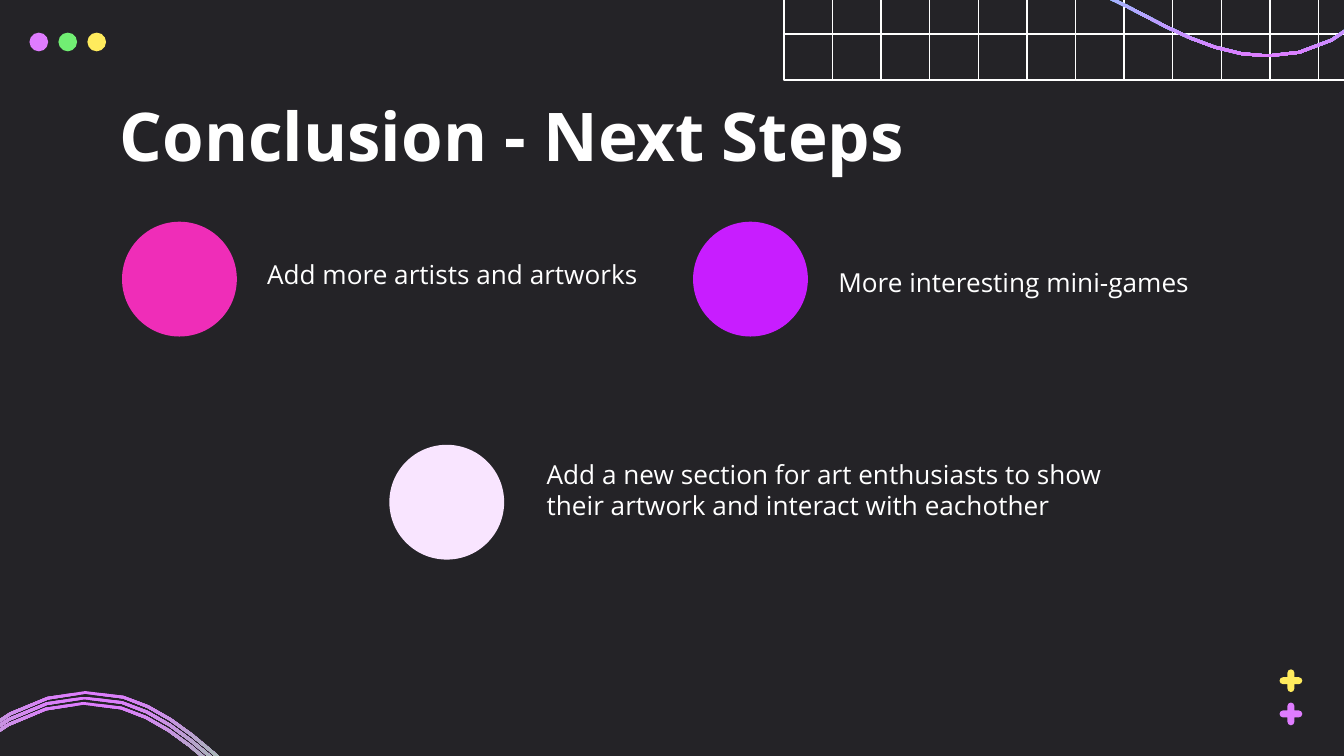
from dataclasses import dataclass
from math import cos, hypot, pi, sin

from pptx import Presentation
from pptx import util as u
from pptx.dml.color import RGBColor
from pptx.enum import shapes, text
from pptx.oxml.ns import qn

Pt = u.Pt


@dataclass(frozen=True)
class Theme:
    background: str = "242327"
    white: str = "FFFFFF"
    violet: str = "DF7CFF"
    green: str = "71EE73"
    yellow: str = "FFEB5D"
    cyan: str = "66EFFF"
    pink: str = "EF2DB8"
    purple: str = "C81DFF"
    pale: str = "F9E5FF"
    font: str = "Open Sans"
    title_size: int = 36
    body_size: int = 14


THEME = Theme()
WIDTH, HEIGHT = 720, 405

TOP_WAVE = [
    (570, -6.5), (583, -8), (597, 0), (612.5, 8),
    (632, 18.5), (655, 30), (679, 30),
    (707, 30), (737, 15), (766, -35),
]
BOTTOM_WAVE = [
    (-35, 414), (-1, 380), (32, 364.5), (66, 373.5),
    (89, 380), (107, 397), (124, 412),
    (136, 423), (147, 434), (157, 437),
]


def rgb(color):
    return RGBColor.from_string(color)


def fill_plain(sp, color):
    sp.shadow.inherit = False
    sp.fill.solid()
    sp.fill.fore_color.rgb = rgb(color)
    sp.line.fill.background()


def stroke(sp):
    sp.line.color.rgb = rgb(THEME.white)
    sp.line.width = Pt(0.75)


def add_circle(s, left, top, size, color):
    sp = s.shapes.add_shape(shapes.MSO_SHAPE.OVAL, Pt(left), Pt(top), Pt(size), Pt(size))
    fill_plain(sp, color)


def add_line(s, x1, y1, x2, y2):
    c = s.shapes.add_connector(shapes.MSO_CONNECTOR.STRAIGHT, Pt(x1), Pt(y1), Pt(x2), Pt(y2))
    stroke(c)
    sp_pr = c._element.spPr
    sp_pr.append(sp_pr.makeelement(qn("a:effectLst"), {}))


def add_grid(s, left, top=-56.2, width=156.2, height=99, middle=18.2, columns=6):
    sp = s.shapes.add_shape(
        shapes.MSO_SHAPE.RECTANGLE, Pt(left), Pt(top), Pt(width), Pt(height)
    )
    sp.shadow.inherit = False
    sp.fill.background()
    stroke(sp)
    for i in range(1, columns):
        x = left + i * width / columns
        add_line(s, x, top, x, top + height)
    add_line(s, left + width, middle, left, middle)


def add_outline(s, points):
    points = [(Pt(x), Pt(y)) for x, y in points]
    builder = s.shapes.build_freeform(*points[0])
    builder.add_line_segments(points[1:], close=True)
    return builder.convert_to_shape()


def sample_curve(controls, steps=5):
    points = [controls[0]]
    for i in range(0, len(controls) - 1, 3):
        a, b, c, d = controls[i:i + 4]
        for n in range(1, steps + 1):
            t = n / steps
            k = 1 - t
            points.append(tuple(
                k**3 * a[j] + 3 * k * k * t * b[j] + 3 * k * t * t * c[j] + t**3 * d[j]
                for j in (0, 1)
            ))
    return points


def add_wave(s, controls, colors, dx=0, dy=0, thickness=1.5):
    points = [(x + dx, y + dy) for x, y in sample_curve(controls)]
    upper, lower = [], []
    for i, (x, y) in enumerate(points):
        x1, y1 = points[max(i - 1, 0)]
        x2, y2 = points[min(i + 1, len(points) - 1)]
        scale = thickness / 2 / hypot(x2 - x1, y2 - y1)
        nx, ny = (y2 - y1) * scale, (x1 - x2) * scale
        upper.append((x + nx, y + ny))
        lower.append((x - nx, y - ny))
    sp = add_outline(s, upper + lower[::-1])
    fill_plain(sp, colors[0])
    sp.fill.gradient()
    sp.fill.gradient_angle = 270
    for stop, color, position in zip(sp.fill.gradient_stops, colors, (0, 1)):
        stop.color.rgb = rgb(color)
        stop.position = position


def add_plus(s, cx, cy, color, reach=6.1, radius=1.85, steps=4):
    points = []
    for arm in range(4):
        a = arm * pi / 2
        angles = [pi * n / steps - pi / 2 for n in range(steps + 1)]
        tip = [(reach - radius + radius * cos(t), radius * sin(t)) for t in angles]
        for x, y in tip + [(radius, radius)]:
            points.append((cx + x * cos(a) - y * sin(a), cy + x * sin(a) + y * cos(a)))
    fill_plain(add_outline(s, points), color)


def write_text(sp, content, size, bold=False):
    tf = sp.text_frame
    tf.word_wrap = True
    tf.auto_size = text.MSO_AUTO_SIZE.NONE
    tf.vertical_anchor = text.MSO_ANCHOR.TOP
    tf.margin_left = tf.margin_right = tf.margin_top = tf.margin_bottom = Pt(7.2)
    p = tf.paragraphs[0]
    p.text = content
    p.alignment = text.PP_ALIGN.LEFT
    p.font.name = THEME.font
    p.font.size = Pt(size)
    p.font.bold = bold
    p.font.color.rgb = rgb(THEME.white)


def add_title(s, content, left, top, width, height):
    sp = s.shapes.title
    sp.left, sp.top, sp.width, sp.height = Pt(left), Pt(top), Pt(width), Pt(height)
    write_text(sp, content, THEME.title_size, bold=True)


def add_body(s, content, left, top, width, height):
    sp = s.shapes.add_textbox(Pt(left), Pt(top), Pt(width), Pt(height))
    write_text(sp, content, THEME.body_size)


def add_decoration(s):
    for left in (420, 576.2):
        add_grid(s, left)
    for i in range(3):
        add_wave(s, BOTTOM_WAVE, (THEME.violet, THEME.green), -0.5 * i, 2.9 * i)
    add_wave(s, TOP_WAVE, (THEME.cyan, THEME.violet))
    for y, color in ((382.5, THEME.violet), (364.7, THEME.yellow)):
        add_plus(s, 691.6, y, color)
    for i, color in enumerate((THEME.violet, THEME.green, THEME.yellow)):
        add_circle(s, 15.8 + 15.5 * i, 17.5, 10, color)


def main():
    prs = Presentation()
    prs.slide_width, prs.slide_height = Pt(WIDTH), Pt(HEIGHT)
    s = prs.slides.add_slide(prs.slide_layouts[5])
    s.background.fill.solid()
    s.background.fill.fore_color.rgb = rgb(THEME.background)

    add_decoration(s)
    add_title(s, "Conclusion - Next Steps", 57, 43.2, 607, 45.4)
    add_body(s, "Add more artists and artworks", 136, 131, 221, 36.7)
    add_body(s, "More interesting mini-games", 442, 135.4, 221, 29.5)
    add_body(
        s,
        "Add a new section for art enthusiasts to show their artwork and interact with eachother",
        285.8, 238.3, 312.5, 74.9,
    )
    for left, top, color in (
        (65.4, 118.8, THEME.pink),
        (208.6, 238.3, THEME.pale),
        (371.3, 118.8, THEME.purple),
    ):
        add_circle(s, left, top, 61.5, color)
    prs.save("out.pptx")


if __name__ == "__main__":
    main()
